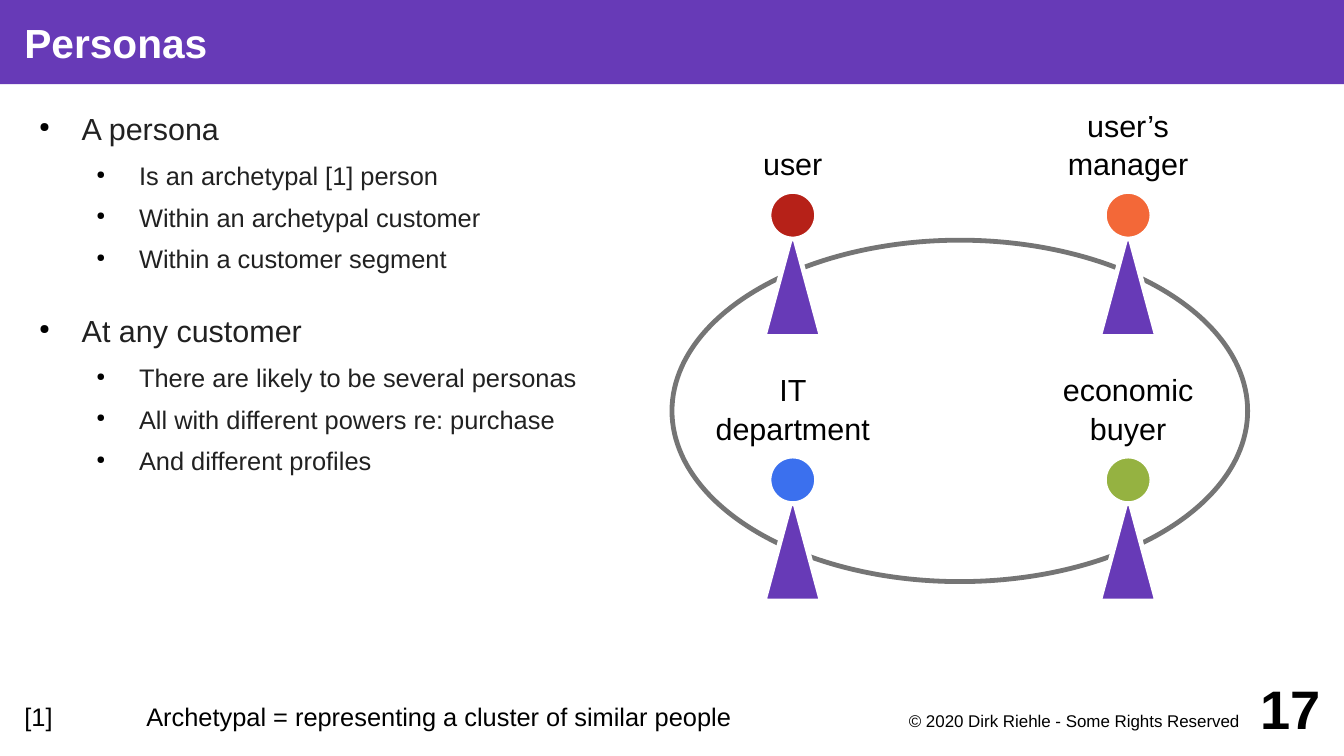
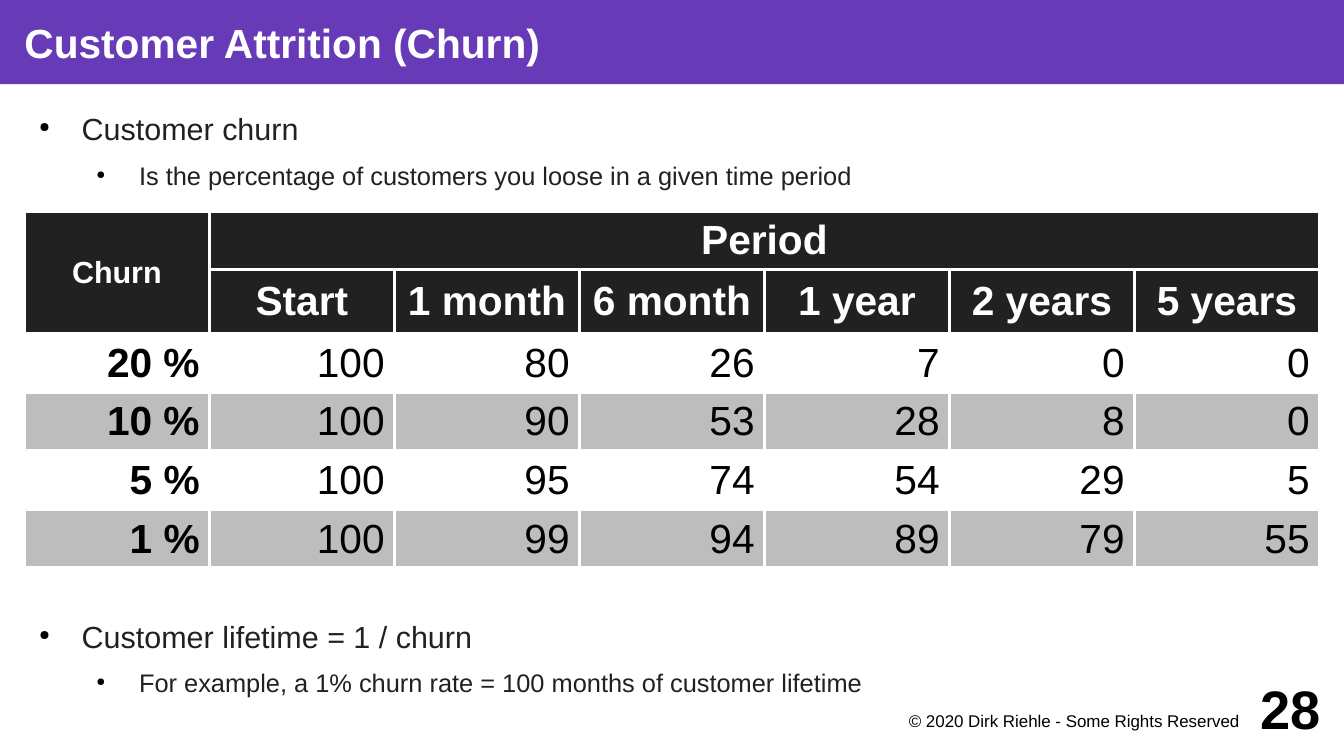
from lxml.etree import SubElement
from pptx import Presentation
from pptx.dml.color import RGBColor
from pptx.enum.shapes import MSO_SHAPE
from pptx.enum.text import MSO_ANCHOR, PP_ALIGN
from pptx.oxml.ns import qn
from pptx.util import Inches, Pt

COLORS = {
    "purple": "673AB7", "white": "FFFFFF", "black": "000000", "dark": "212121",
    "ring": "757575", "band": "BDBDBD", "red": "B62118", "orange": "F36838",
    "blue": "3B70EE", "green": "95B241",
}
FONT = "Arial"
WIDTH, HEIGHT = 11.02, 6.2
MARGIN = 0.2
COPYRIGHT = "© 2020 Dirk Riehle - Some Rights Reserved"
LEVELS = [
    {"size": 18, "indent": 0.47, "space": 4.2},
    {"size": 15, "indent": 0.94, "space": 2.8},
]
HANGING = 0.35
SECTION_GAP = 19

PERSONA_BULLETS = [
    (0, "A persona"),
    (1, "Is an archetypal [1] person"),
    (1, "Within an archetypal customer"),
    (1, "Within a customer segment"),
    (0, "At any customer"),
    (1, "There are likely to be several personas"),
    (1, "All with different powers re: purchase"),
    (1, "And different profiles"),
]
PERSONAS = [
    ("user", "red"),
    ("user’s\nmanager", "orange"),
    ("IT department", "blue"),
    ("economic buyer", "green"),
]
FOOTNOTE = "[1]\tArchetypal = representing a cluster of similar people"

CHURN_BULLETS = [
    (0, "Customer churn"),
    (1, "Is the percentage of customers you loose in a given time period"),
]
LIFETIME_BULLETS = [
    (0, "Customer lifetime = 1 / churn"),
    (1, "For example, a 1% churn rate = 100 months of customer lifetime"),
]
CHURN_TABLE = [
    ["Churn", "Period", "", "", "", "", ""],
    ["", "Start", "1 month", "6 month", "1 year", "2 years", "5 years"],
    ["20 %", "100", "80", "26", "7", "0", "0"],
    ["10 %", "100", "90", "53", "28", "8", "0"],
    ["5 %", "100", "95", "74", "54", "29", "5"],
    ["1 %", "100", "99", "94", "89", "79", "55"],
]
ROW_HEIGHTS = [0.47, 0.53, 0.47, 0.47, 0.47, 0.47]
HEADER_ROWS = 2


def rgb(name):
    return RGBColor.from_string(COLORS[name])


def add_run(p, text, size=18, color="black", bold=False):
    r = p.add_run()
    r.text = text
    r.font.name = FONT
    r.font.size = Pt(size)
    r.font.bold = bold
    r.font.color.rgb = rgb(color)


def write(tf, text, align=PP_ALIGN.LEFT, anchor=MSO_ANCHOR.TOP,
          insets=(0, 0, 0, 0), line_spacing=None, **run_format):
    tf.word_wrap = True
    tf.vertical_anchor = anchor
    tf.margin_left, tf.margin_top, tf.margin_right, tf.margin_bottom = map(Inches, insets)
    for i, line in enumerate(text.split("\n")):
        p = tf.add_paragraph() if i else tf.paragraphs[0]
        p.alignment = align
        p.line_spacing = line_spacing
        add_run(p, line, **run_format)


def add_text(s, box, text, **text_format):
    tf = s.shapes.add_textbox(*map(Inches, box)).text_frame
    write(tf, text, **text_format)
    return tf


def add_shape(s, kind, box, fill=None, line=None):
    sp = s.shapes.add_shape(kind, *map(Inches, box))
    sp.shadow.inherit = False
    if fill:
        sp.fill.solid()
        sp.fill.fore_color.rgb = rgb(fill)
    else:
        sp.fill.background()
    if line:
        sp.line.color.rgb = rgb(line)
        sp.line.width = Pt(2.83)
    else:
        sp.line.fill.background()
    return sp


def add_bullets(s, top, height, items):
    box = map(Inches, (MARGIN, top, WIDTH - 2 * MARGIN, height))
    tf = s.shapes.add_textbox(*box).text_frame
    write(tf, "")
    for i, (depth, text) in enumerate(items):
        level = LEVELS[depth]
        p = tf.add_paragraph() if i else tf.paragraphs[0]
        p.level = depth
        p.line_spacing = 1.05
        if i:
            p.space_before = Pt(level["space"] if depth else SECTION_GAP)
        p.space_after = Pt(level["space"])
        pPr = p._p.get_or_add_pPr()
        pPr.set("marL", str(Inches(level["indent"])))
        pPr.set("indent", str(-Inches(HANGING)))
        clr = SubElement(pPr, qn("a:buClr"))
        SubElement(clr, qn("a:srgbClr"), val=COLORS["black"])
        SubElement(pPr, qn("a:buSzPct"), val="45000")
        SubElement(pPr, qn("a:buChar"), char="●")
        add_run(p, text, size=level["size"], color="dark")


def add_slide(prs, title, number):
    s = prs.slides.add_slide(prs.slide_layouts[6])
    band = add_shape(s, MSO_SHAPE.RECTANGLE, (0, 0, WIDTH, 0.69), fill="purple")
    write(band.text_frame, title, size=24, color="white", bold=True,
          anchor=MSO_ANCHOR.MIDDLE, insets=(MARGIN, 0, 0, 0))
    add_text(s, (7.09, 5.81, 3.15, 0.3), COPYRIGHT, size=10,
             align=PP_ALIGN.RIGHT, insets=(0, 0.02, 0.08, 0))
    add_text(s, (10.04, 5.51, 0.79, 0.59), str(number), size=32, bold=True,
             align=PP_ALIGN.RIGHT, anchor=MSO_ANCHOR.MIDDLE)
    return s


def add_persona(s, center, top, label, color):
    body, head, label_width, label_height = 0.47, 0.39, 1.57, 0.79
    add_shape(s, MSO_SHAPE.ISOSCELES_TRIANGLE,
              (center - body / 2, top + 0.32, body, 0.87), "purple", "white")
    add_shape(s, MSO_SHAPE.OVAL, (center - head / 2, top, head, head), color, "white")
    add_text(s, (center - label_width / 2, top - label_height, label_width, label_height),
             label, align=PP_ALIGN.CENTER, anchor=MSO_ANCHOR.BOTTOM,
             insets=(0.08,) * 4, line_spacing=1.05)


def build_personas(prs):
    s = add_slide(prs, "Personas", 17)
    add_bullets(s, 0.89, 4.53, PERSONA_BULLETS)
    add_shape(s, MSO_SHAPE.OVAL, (5.51, 1.97, 4.72, 2.8), line="ring")
    for i, (label, color) in enumerate(PERSONAS):
        row, col = divmod(i, 2)
        add_persona(s, 6.5 + 2.75 * col, 1.57 + 2.17 * row, label, color)
    tf = add_text(s, (0, 4.63, 7.87, 1.57), FOOTNOTE, size=15,
                  anchor=MSO_ANCHOR.BOTTOM, insets=(MARGIN, 0, 0, MARGIN))
    tabs = SubElement(tf.paragraphs[0]._p.get_or_add_pPr(), qn("a:tabLst"))
    SubElement(tabs, qn("a:tab"), pos=str(Inches(1)), algn="l")


def style_cell(cell, fill):
    tcPr = cell._tc.get_or_add_tcPr()
    for side in ("lnL", "lnR", "lnT", "lnB"):
        ln = SubElement(tcPr, qn(f"a:{side}"), w=str(Pt(2.27)))
        solid = SubElement(ln, qn("a:solidFill"))
        SubElement(solid, qn("a:srgbClr"), val=COLORS["white"])
    cell.fill.solid()
    cell.fill.fore_color.rgb = rgb(fill)
    cell.vertical_anchor = MSO_ANCHOR.MIDDLE
    cell.margin_left = cell.margin_right = Inches(0.08)
    cell.margin_top = cell.margin_bottom = Inches(0.04)


def add_churn_table(s):
    rows, cols = len(CHURN_TABLE), len(CHURN_TABLE[0])
    width = WIDTH - 2 * MARGIN
    box = map(Inches, (MARGIN, 1.73, width, sum(ROW_HEIGHTS)))
    table = s.shapes.add_table(rows, cols, *box).table
    table.first_row = table.horz_banding = False
    for column in table.columns:
        column.width = Inches(width / cols)
    for i, values in enumerate(CHURN_TABLE):
        table.rows[i].height = Inches(ROW_HEIGHTS[i])
        header = i < HEADER_ROWS
        fill = "dark" if header else ("white", "band")[i % 2]
        for j, value in enumerate(values):
            cell = table.cell(i, j)
            style_cell(cell, fill)
            if value:
                p = cell.text_frame.paragraphs[0]
                p.alignment = PP_ALIGN.CENTER if header else PP_ALIGN.RIGHT
                add_run(p, value, size=18 if i == j == 0 else 24,
                        color="white" if header else "black", bold=header or j == 0)
    table.cell(0, 0).merge(table.cell(1, 0))
    table.cell(0, 1).merge(table.cell(0, cols - 1))


def build_churn(prs):
    s = add_slide(prs, "Customer Attrition (Churn)", 28)
    add_bullets(s, 0.89, 0.75, CHURN_BULLETS)
    add_churn_table(s)
    add_bullets(s, 5.05, 0.75, LIFETIME_BULLETS)


def main():
    prs = Presentation()
    prs.slide_width, prs.slide_height = Inches(WIDTH), Inches(HEIGHT)
    build_personas(prs)
    build_churn(prs)
    prs.save("out.pptx")


if __name__ == "__main__":
    main()
